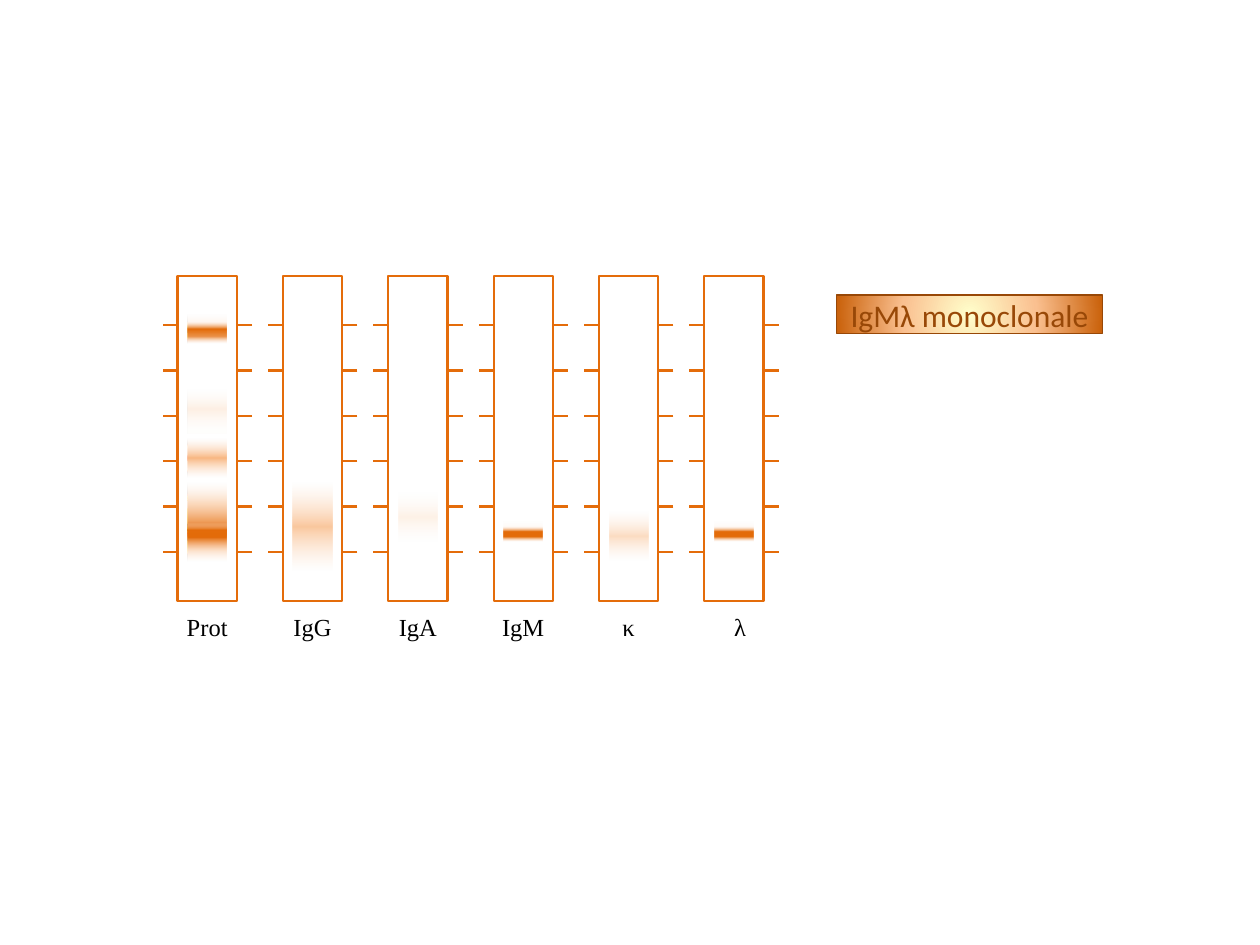
from lxml import etree
from pptx import Presentation
from pptx.dml.color import RGBColor as RGB
from pptx.enum.shapes import MSO_CONNECTOR as Link, MSO_SHAPE as Shape
from pptx.enum.text import MSO_ANCHOR as Anchor, PP_ALIGN as Align
from pptx.oxml import parse_xml
from pptx.oxml.ns import nsdecls, qn
from pptx.util import Inches, Pt

ORANGE = RGB(0xE4, 0x6C, 0x0A)
PEACH = RGB(0xFA, 0xC0, 0x90)
APRICOT = RGB(0xF9, 0xB8, 0x83)
PALE = RGB(0xFF, 0xE4, 0xD1)
CREAM = RGB(0xFF, 0xFF, 0xCC)
RUST = RGB(0xC9, 0x60, 0x09)
BROWN = RGB(0x98, 0x48, 0x07)
BLACK = RGB(0, 0, 0)

UPWARD = '<a:lin ang="16200000" scaled="0"/>'
RADIAL = ('<a:path path="circle">'
          '<a:fillToRect l="50000" t="50000" r="50000" b="50000"/></a:path>')

LEFT, SPAN, TOP = 1.41, 4.18, 2.19
WIDTH, HEIGHT, TICK = 0.47, 2.58, 0.12
INSET, BAND = 0.08, 0.31


def fade(color, alpha):
    return [(0, PALE, 0), (50, color, alpha), (100, PALE, 0)]


def sharp(alpha):
    return [(0, PALE, 0), (25, ORANGE, 100), (50, ORANGE, 100),
            (75, PALE, alpha), (100, PALE, 0)]


LANES = [
    ("Prot", 0, [
        (3.83, 0.63, [(0, PALE, 0), (14, PEACH, 46), (31, ORANGE, 100),
                      (37, ORANGE, 100), (75, PEACH, 53), (100, PALE, 0)]),
        (2.5, 0.23, [(0, PALE, 0), (25, ORANGE, 73), (50, ORANGE, 100),
                     (75, PALE, 28), (100, PALE, 0)]),
        (4.09, 0.23, [(0, PALE, 0), (25, ORANGE, 0), (50, ORANGE, 100),
                      (75, PALE, 0), (100, PALE, 0)]),
        (3.05, 0.39, [(10, PALE, 5), (50, APRICOT, 22), (90, PALE, 0)]),
        (3.44, 0.39, [(10, PALE, 0), (50, APRICOT, 100), (90, PALE, 0)]),
    ]),
    ("IgG", 0, [(3.83, 0.7, fade(PEACH, 87))]),
    ("IgA", 0, [(3.91, 0.39, fade(PEACH, 22))]),
    ("IgM", 0, [(4.14, 0.16, sharp(15))]),
    ("κ", 0, [(4.06, 0.39, fade(PEACH, 55))]),
    ("λ", 0.05, [(4.14, 0.16, sharp(16))]),
]


class Gel:
    def __init__(self, slide):
        self.shapes = slide.shapes

    def box(self, x, y, w, h, line=None, weight=1.25):
        box = self.shapes.add_shape(
            Shape.RECTANGLE, Inches(x), Inches(y), Inches(w), Inches(h))
        box.shadow.inherit = False
        box.fill.background()
        if line is None:
            box.line.fill.background()
        else:
            box.line.color.rgb = line
            box.line.width = Pt(weight)
        return box

    def blend(self, box, stops, way=UPWARD):
        marks = "".join(
            f'<a:gs pos="{pos * 1000}"><a:srgbClr val="{color}">'
            f'<a:alpha val="{alpha * 1000}"/></a:srgbClr></a:gs>'
            for pos, color, alpha in stops)
        fill = parse_xml(f'<a:gradFill {nsdecls("a")} rotWithShape="1">'
                         f'<a:gsLst>{marks}</a:gsLst>{way}</a:gradFill>')
        props = box._element.spPr
        props.replace(props.find(qn("a:noFill")), fill)

    def tick(self, x, y):
        line = self.shapes.add_connector(
            Link.STRAIGHT, Inches(x + TICK), Inches(y), Inches(x), Inches(y))
        line.line.color.rgb = ORANGE
        line.line.width = Pt(1.25)
        etree.SubElement(line._element.spPr, qn("a:effectLst"))

    def letter(self, box, text, size, name, color):
        frame = box.text_frame
        frame.vertical_anchor = Anchor.MIDDLE
        par = frame.paragraphs[0]
        par.text = text
        par.alignment = Align.CENTER
        par.font.size = Pt(size)
        par.font.name = name
        par.font.color.rgb = color

    def label(self, mid, y, text):
        w = 0.36
        box = self.shapes.add_textbox(
            Inches(mid - w / 2), Inches(y), Inches(w), Inches(0.26))
        frame = box.text_frame
        frame.word_wrap = False
        frame.margin_left = frame.margin_right = 0
        frame.margin_top = frame.margin_bottom = Inches(0.01)
        self.letter(box, text, 14, "Times New Roman", BLACK)

    def lane(self, x, text, shift, bands):
        self.box(x, TOP, WIDTH, HEIGHT, ORANGE)
        for side in (x + WIDTH, x - TICK):
            for step in range(6):
                self.tick(side, 2.58 + 0.36 * step)
        for y, h, stops in bands:
            self.blend(self.box(x + INSET, y, BAND, h), stops)
        self.label(x + WIDTH / 2 + shift, 4.84, text)

    def verdict(self, text):
        box = self.box(6.64, 2.34, 2.11, 0.31, BROWN, 0.75)
        self.blend(box, [(0, CREAM, 100), (50, PEACH, 100), (100, RUST, 100)],
                   RADIAL)
        self.letter(box, text, 18, "Calibri", BROWN)


def main():
    deck = Presentation()
    deck.slide_width, deck.slide_height = Inches(10), Inches(7.5)
    gel = Gel(deck.slides.add_slide(deck.slide_layouts[6]))
    for i, lane in enumerate(LANES):
        gel.lane(LEFT + SPAN * i / (len(LANES) - 1), *lane)
    gel.verdict("IgMλ monoclonale")
    deck.save("out.pptx")


if __name__ == "__main__":
    main()
